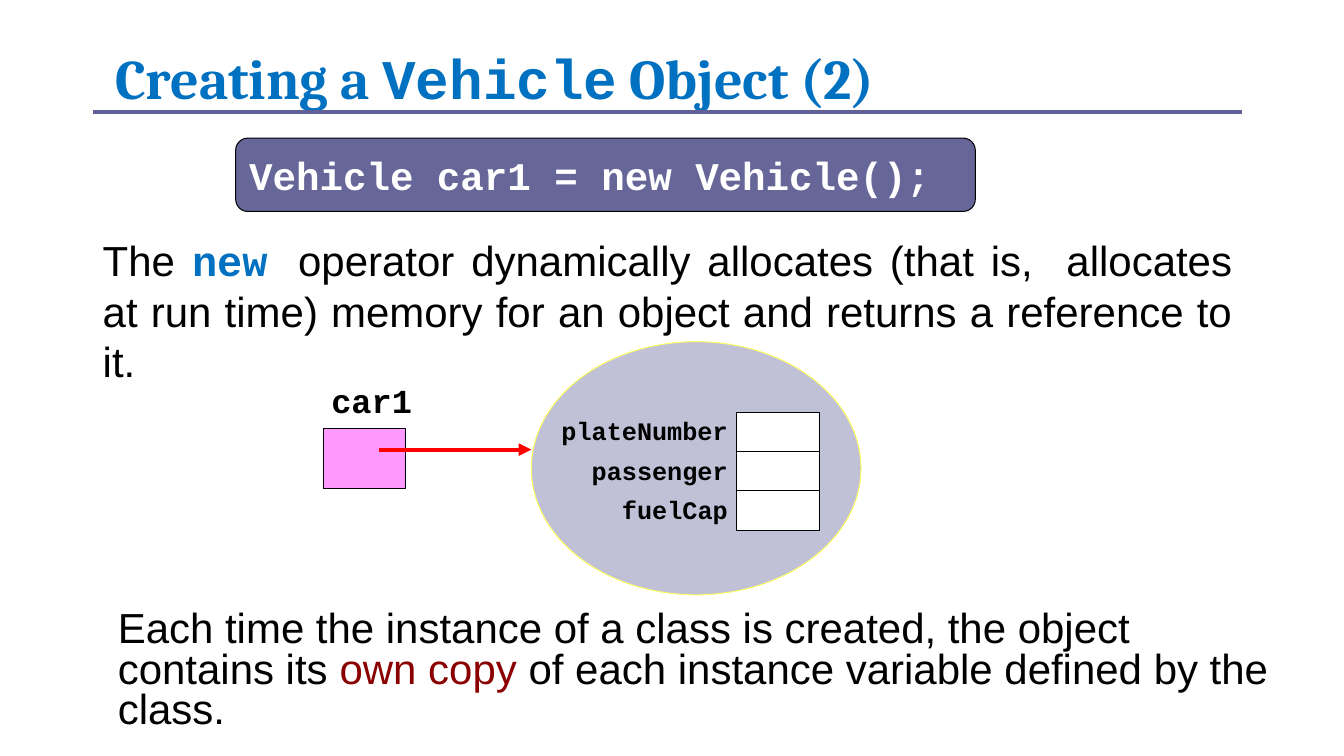
from dataclasses import dataclass

from lxml.etree import SubElement
from pptx import Presentation
from pptx.dml.color import RGBColor
from pptx.enum.shapes import MSO_CONNECTOR as CONN, MSO_SHAPE as SHAPE
from pptx.enum.text import MSO_ANCHOR as ANCHOR, PP_ALIGN as ALIGN
from pptx.oxml.ns import qn
from pptx.util import Cm, Pt


@dataclass(frozen=True)
class Theme:
    """Fonts, colours and type sizes of the slide."""
    serif: str = "Cambria"
    sans: str = "Arial"
    mono: str = "Courier New"
    ink: str = "000000"
    paper: str = "FFFFFF"
    accent: str = "0070C0"
    emphasis: str = "8A0000"
    banner: str = "666699"
    rule: str = "616196"
    heap: str = "C0C0D6"
    heap_edge: str = "FFFF66"
    variable: str = "FF99FF"
    arrow: str = "FF0000"
    title: int = 40
    body: int = 30
    code: int = 28
    name: int = 24
    field: int = 18


class Deck:
    """Draws styled elements on the current slide."""

    def __init__(self, prs, theme):
        """Add a blank slide to draw on."""
        self.t = theme
        self.s = prs.slides.add_slide(prs.slide_layouts[6])

    def fill_text(self, sp, runs, size, align=ALIGN.LEFT, anchor=ANCHOR.TOP, spacing=None, indent=0):
        """Fill a shape with one paragraph of (text, font, colour, bold) runs."""
        tf = sp.text_frame
        tf.word_wrap = True
        tf.vertical_anchor = anchor
        p = tf.paragraphs[0]
        p.alignment = align
        if spacing:
            p.line_spacing = spacing
        if indent:
            p._p.get_or_add_pPr().set("marL", str(Cm(indent)))
        for text, font, color, bold in runs:
            r = p.add_run()
            r.text = text
            r.font.name, r.font.size, r.font.bold = font, Pt(size), bold
            r.font.color.rgb = RGBColor.from_string(color)

    def text(self, box, runs, size, **style):
        """Add a text box."""
        self.fill_text(self.s.shapes.add_textbox(*map(Cm, box)), runs, size, **style)

    def shape(self, kind, box, fill, edge=None):
        """Add a filled shape with a thin outline."""
        sp = self.s.shapes.add_shape(kind, *map(Cm, box))
        sp.shadow.inherit = False
        sp.fill.solid()
        sp.fill.fore_color.rgb = RGBColor.from_string(fill)
        sp.line.color.rgb = RGBColor.from_string(edge or self.t.ink)
        sp.line.width = Pt(0.75)
        return sp

    def line(self, x1, x2, y, color, width, arrow=False):
        """Add a horizontal line, with an arrowhead if asked."""
        c = self.s.shapes.add_connector(CONN.STRAIGHT, Cm(x1), Cm(y), Cm(x2), Cm(y))
        c.line.color.rgb = RGBColor.from_string(color)
        c.line.width = Pt(width)
        if arrow:
            SubElement(c.line._get_or_add_ln(), qn("a:tailEnd"), type="triangle")
        SubElement(c._element.spPr, qn("a:effectLst"))


def draw_object(d):
    """Draw the variable, its reference and the object with its fields."""
    t = d.t
    d.shape(SHAPE.OVAL, (13.39, 8.61, 8.31, 6.38), t.heap, t.heap_edge)
    d.text((8.1, 9.45, 3.61, 1.63), [("car1", t.mono, t.ink, True)], t.name)
    d.shape(SHAPE.RECTANGLE, (8.15, 10.8, 2.08, 1.52), t.variable)
    d.line(9.55, 13.39, 11.33, t.arrow, 3, arrow=True)
    for i, field in enumerate(("plateNumber", "passenger", "fuelCap")):
        d.shape(SHAPE.RECTANGLE, (18.57, 10.39 + 0.99 * i, 2.08, 0.99), t.paper)
        d.text((13.59, 10.34 + i, 5, 1.04), [(field, t.mono, t.ink, True)],
               t.field, align=ALIGN.RIGHT)


def main():
    """Build and save the slide."""
    prs = Presentation()
    prs.slide_width, prs.slide_height = Cm(33.87), Cm(19.05)
    t = Theme()
    d = Deck(prs, t)
    draw_object(d)
    d.text((2.34, 5.79, 28.98, 2.82), [
        ("The ", t.sans, t.ink, False),
        ("new ", t.mono, t.accent, True),
        ("operator dynamically allocates (that is,  allocates at run time) memory "
         "for an object and returns a reference to it.", t.sans, t.ink, False),
    ], t.body, align=ALIGN.JUSTIFY)
    banner = d.shape(SHAPE.ROUNDED_RECTANGLE, (5.94, 3.48, 18.64, 1.85), t.banner)
    d.fill_text(banner, [("Vehicle car1 = new Vehicle();", t.mono, t.paper, True)],
                t.code, anchor=ANCHOR.MIDDLE)
    d.text((2.34, 1.07, 25.88, 1.75), [
        (" Creating a ", t.serif, t.accent, True),
        ("Vehicle", t.mono, t.accent, True),
        (" Object (2)", t.serif, t.accent, True),
    ], t.title, anchor=ANCHOR.MIDDLE)
    d.text((2.24, 15.29, 30.43, 3.33), [
        ("Each time the instance of a class is created, the object contains its ",
         t.sans, t.ink, False),
        ("own copy ", t.sans, t.emphasis, False),
        ("of each instance variable defined by the class.", t.sans, t.ink, False),
    ], t.body, spacing=0.8, indent=0.48)
    d.line(2.34, 31.29, 2.82, t.rule, 2.5)
    prs.save("out.pptx")


if __name__ == "__main__":
    main()
